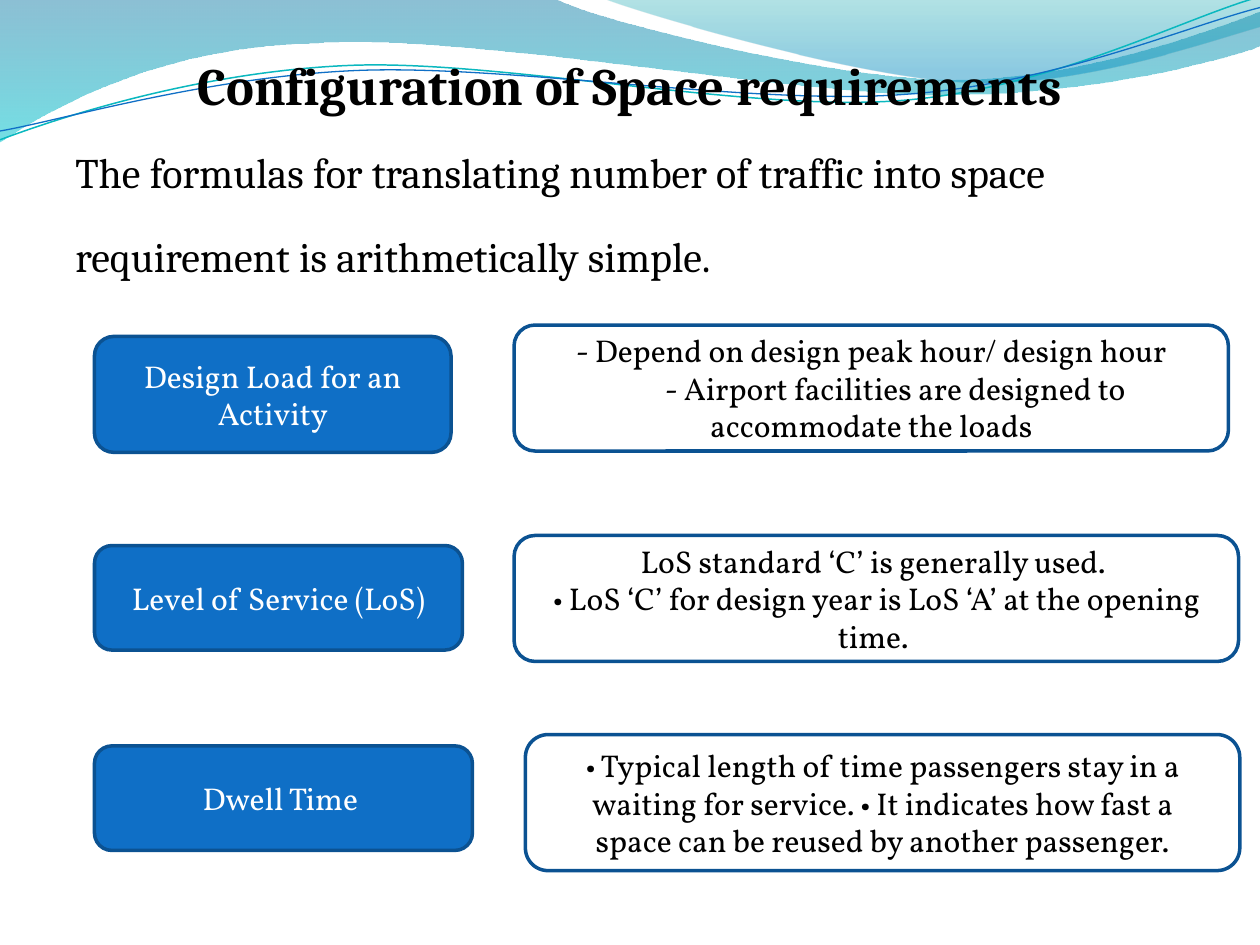
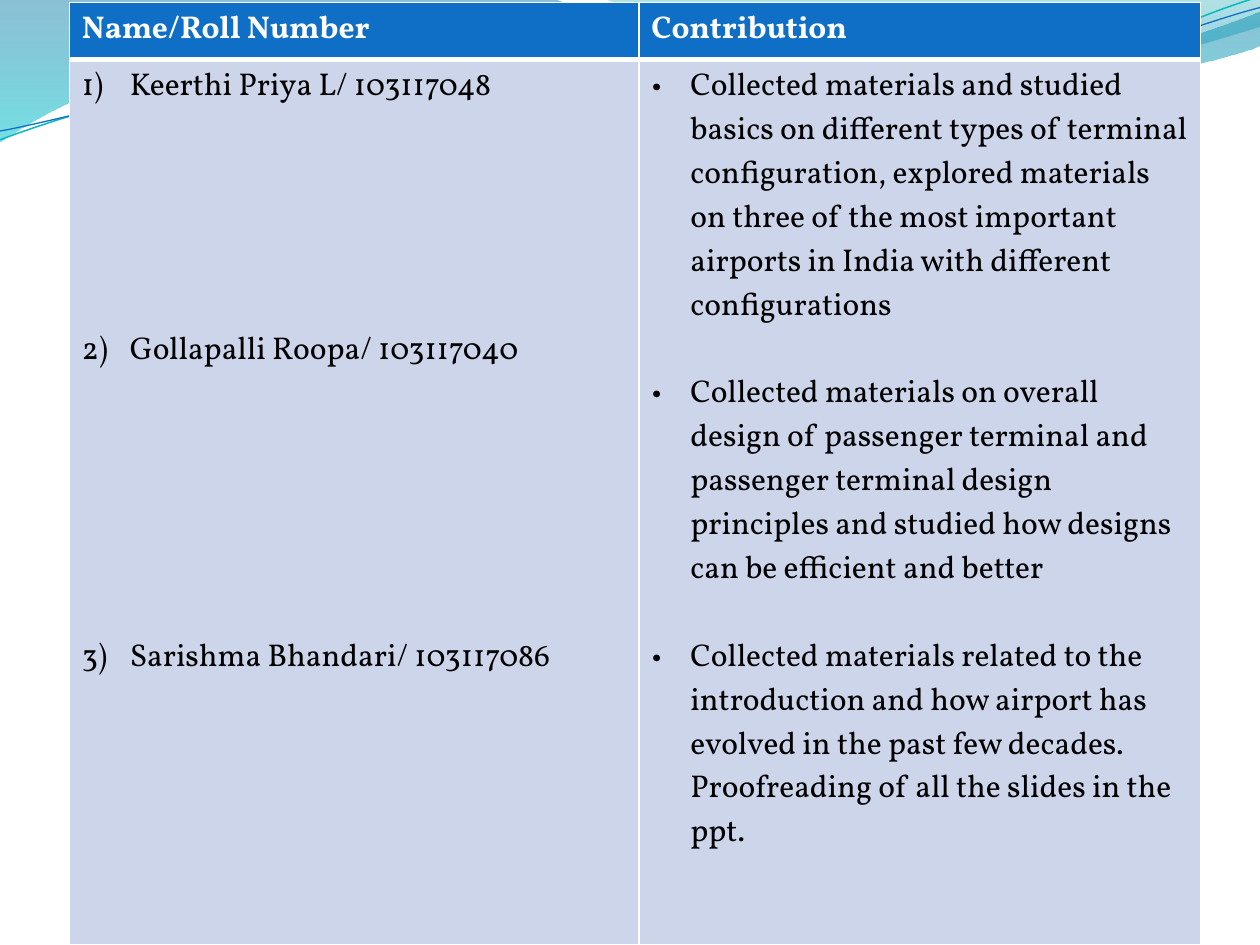
from lxml.etree import SubElement
from pptx import Presentation
from pptx.dml.color import RGBColor
from pptx.enum.shapes import MSO_SHAPE
from pptx.enum.text import MSO_ANCHOR, PP_ALIGN
from pptx.oxml.ns import qn
from pptx.util import Emu, Pt

PX = 9144
COLORS = {
    "white": "FFFFFF", "black": "000000", "blue": "0F6FC6", "outline": "0B5292",
    "aqua": "0AB8BF", "cell": "CCD5EA", "deep": "0074A1", "cyan": "00C6CF",
    "teal": "00A1A9", "sky": "008BBF",
}
HEADING_FONT, BODY_FONT = "Cambria", "Vollkorn"
LINE_PITCH = 25.1

BANDS = [
    ([[(0, 0)], [(440, -1)],
      [(476, 17), (664, 63), (758, 63)], [(853, 63), (958, 26), (1000, 9)],
      [(1001, 36)], [(983, 44), (870, 76), (746, 75)],
      [(622, 75), (382, 28), (257, 34)], [(129, 36), (46, 83), (-1, 113)]],
     [("deep", 0, 45), ("cyan", 1, 55)]),
    ([[(479, -1)],
      [(509, 11), (682, 62), (769, 65)], [(856, 69), (961, 32), (1000, 21)],
      [(1000, 0)]],
     [("teal", 0, 30), ("sky", 0.8, 45)]),
]
STRANDS = [
    ([[(0, 111)],
      [(48, 93), (158, 57), (277, 52)], [(395, 47), (593, 89), (713, 80)],
      [(833, 71), (938, 15), (998, -2)]], "aqua", 0.85),
    ([[(0, 104)],
      [(47, 96), (164, 61), (283, 56)], [(403, 51), (597, 84), (717, 75)],
      [(836, 67), (941, 21), (1000, 6)]], "blue", 0.75),
]
FACTORS = [
    ((75, 267, 283, 92), "Design Load for an Activity", (408, 258, 567, 100), 10,
     ["- Depend on design peak hour/ design hour",
      ("- Airport facilities are designed to accommodate the loads", {"indent": 38})]),
    ((75, 433, 292, 83), "Level of Service (LoS)", (408, 425, 575, 100), 10,
     ["LoS standard ‘C’ is generally used. ",
      "• LoS ‘C’ for design year is LoS ‘A’ at the opening time. "]),
    ((75, 592, 300, 83), "Dwell Time ", (417, 583, 567, 108), 30,
     ["• Typical length of time passengers stay in a waiting for service. "
      "• It indicates how fast a space can be reused by another passenger."]),
]
MEMBERS = [
    "Keerthi Priya L/ 103117048",
    ("Gollapalli Roopa/ 103117040", {"before": 5 * LINE_PITCH}),
    ("Sarishma Bhandari/ 103117086", {"before": 6 * LINE_PITCH}),
]
CONTRIBUTIONS = [
    "Collected materials and studied basics on different types of terminal "
    "configuration, explored materials on three of the most important airports "
    "in India with different configurations",
    ("Collected materials on overall design of passenger terminal and passenger "
     "terminal design principles and studied how designs can be efficient and better",
     {"before": LINE_PITCH}),
    ("Collected materials related to the introduction and how airport has evolved "
     "in the past few decades. Proofreading of all the slides in the ppt.",
     {"before": LINE_PITCH}),
]


def rgb(name):
    """Return the named colour."""
    return RGBColor.from_string(COLORS[name])


def px(*lengths):
    """Turn px lengths into EMU."""
    return [Emu(length * PX) for length in lengths]


def write(frame, paragraphs, **style):
    """Fill a text frame; a paragraph may carry its own overrides."""
    frame.word_wrap = True
    for number, entry in enumerate(paragraphs):
        text, own = entry if isinstance(entry, tuple) else (entry, {})
        look = {**style, **own}
        paragraph = frame.paragraphs[0] if number == 0 else frame.add_paragraph()
        paragraph.alignment = look.get("align", PP_ALIGN.LEFT)
        if "spacing" in look:
            paragraph.line_spacing = look["spacing"]
        if number and "before" in look:
            paragraph.space_before = Pt(look["before"])
        properties = paragraph._p.get_or_add_pPr()
        properties.set("marL", str(look.get("margin", 0) * PX))
        properties.set("indent", str(look.get("indent", 0) * PX))
        if "bullet" in look:
            tag, attributes = look["bullet"]
            SubElement(properties, qn("a:buFont"), typeface=BODY_FONT)
            SubElement(properties, qn(tag), attributes)
        run = paragraph.add_run()
        run.text = text
        run.font.name = look.get("font", BODY_FONT)
        run.font.size = Pt(look.get("size", 18))
        run.font.bold = look.get("bold", False)
        run.font.color.rgb = rgb(look.get("color", "black"))


class Deck:
    """Holds the presentation style and the current slide."""

    def __init__(self):
        """Start a deck of 10 by 7.5 inch slides."""
        self.presentation = Presentation()
        self.presentation.slide_width, self.presentation.slide_height = px(1000, 750)

    def add_slide(self):
        """Open a blank slide with the wave header."""
        self.slide = self.presentation.slides.add_slide(
            self.presentation.slide_layouts[6])
        for segments, stops in BANDS:
            self.band(segments, stops)
        for segments, color, width in STRANDS:
            self.strand(segments, color, width)

    def outline(self, segments, close):
        """Draw a freeform whose three-point segments are cubic curves."""
        start, *corners = [px(*point) for segment in segments for point in segment]
        builder = self.slide.shapes.build_freeform(*start, scale=1.0)
        builder.add_line_segments(corners, close=close)
        shape = builder.convert_to_shape()
        shape.shadow.inherit = False
        lines = iter(list(shape._element.spPr.iter(qn("a:lnTo"))))
        for segment in segments[1:]:
            first, *rest = [next(lines) for _ in segment]
            if rest:
                first.tag = qn("a:cubicBezTo")
                for line in rest:
                    first.append(line[0])
                    line.getparent().remove(line)
        return shape

    def band(self, segments, stops):
        """Draw a translucent gradient band, shaded downwards."""
        shape = self.outline(segments, True)
        shape.line.fill.background()
        shape.fill.gradient()
        shape.fill.gradient_angle = 270
        for stop, (color, position, _) in zip(shape.fill.gradient_stops, stops):
            stop.color.rgb = rgb(color)
            stop.position = position
        tints = shape._element.spPr.iter(qn("a:srgbClr"))
        for tint, (_, _, opacity) in zip(list(tints), stops):
            SubElement(tint, qn("a:alpha"), val=str(opacity * 1000))

    def strand(self, segments, color, width):
        """Draw a thin curved line."""
        shape = self.outline(segments, False)
        shape.fill.background()
        shape.line.color.rgb = rgb(color)
        shape.line.width = Pt(width)

    def text(self, box, paragraphs, anchor=MSO_ANCHOR.TOP, side=10, bottom=5, **style):
        """Place a text box."""
        frame = self.slide.shapes.add_textbox(*px(*box)).text_frame
        frame.vertical_anchor = anchor
        frame.margin_left, frame.margin_right, frame.margin_bottom = px(side, side, bottom)
        write(frame, paragraphs, font=HEADING_FONT, **style)

    def card(self, box, paragraphs, fill, color, side=10):
        """Place a rounded box with centred text."""
        shape = self.slide.shapes.add_shape(MSO_SHAPE.ROUNDED_RECTANGLE, *px(*box))
        shape.shadow.inherit = False
        shape.fill.solid()
        shape.fill.fore_color.rgb = rgb(fill)
        shape.line.color.rgb = rgb("outline")
        shape.line.width = Pt(2)
        frame = shape.text_frame
        frame.vertical_anchor = MSO_ANCHOR.MIDDLE
        frame.margin_left, frame.margin_right = px(side, side)
        write(frame, paragraphs, color=color, align=PP_ALIGN.CENTER, spacing=Pt(21.4))

    def cell(self, cell, paragraphs, fill, thick_edge, **style):
        """Fill a table cell and edge it in white."""
        properties = cell._tc.get_or_add_tcPr()
        for edge in ("lnL", "lnR", "lnT", "lnB"):
            width = Pt(3 if edge == thick_edge else 1)
            border = SubElement(properties, qn(f"a:{edge}"), w=str(width))
            paint = SubElement(border, qn("a:solidFill"))
            SubElement(paint, qn("a:srgbClr"), val=COLORS["white"])
        cell.fill.solid()
        cell.fill.fore_color.rgb = rgb(fill)
        write(cell.text_frame, paragraphs, **style)

    def table(self, box, widths, heights, headings, columns):
        """Place a table of one heading row and one list row."""
        table = self.slide.shapes.add_table(2, len(widths), *px(*box)).table
        table.horz_banding = False
        for row, height in zip(table.rows, px(*heights)):
            row.height = height
        for index, width in enumerate(px(*widths)):
            table.columns[index].width = width
            self.cell(table.cell(0, index), [headings[index]], "blue", "lnB",
                      color="white", bold=True)
            entries, margin, bullet = columns[index]
            self.cell(table.cell(1, index), entries, "cell", "lnT",
                      margin=margin, indent=-margin, bullet=bullet)


def main():
    """Build both slides and save them."""
    deck = Deck()
    deck.add_slide()
    deck.text((50, 30, 900, 62), ["Configuration of Space requirements"],
              anchor=MSO_ANCHOR.BOTTOM, side=0, bottom=0, size=30, bold=True,
              align=PP_ALIGN.CENTER)
    deck.text((50, 91, 900, 625),
              ["The formulas for translating number of traffic into space",
               "requirement is arithmetically simple."],
              size=24, margin=30, indent=-30, spacing=1.5, before=4.8)
    for factor_box, factor, details_box, side, details in FACTORS:
        deck.card(factor_box, [factor], "blue", "white")
        deck.card(details_box, details, "white", "black", side)

    deck.add_slide()
    deck.table((55, 2, 898, 748), (452, 446), (45, 703),
               ("Name/Roll Number", "Contribution"),
               ((MEMBERS, 38, ("a:buAutoNum", {"type": "arabicParenR"})),
                (CONTRIBUTIONS, 31, ("a:buChar", {"char": "•"}))))
    deck.presentation.save("out.pptx")


if __name__ == "__main__":
    main()
